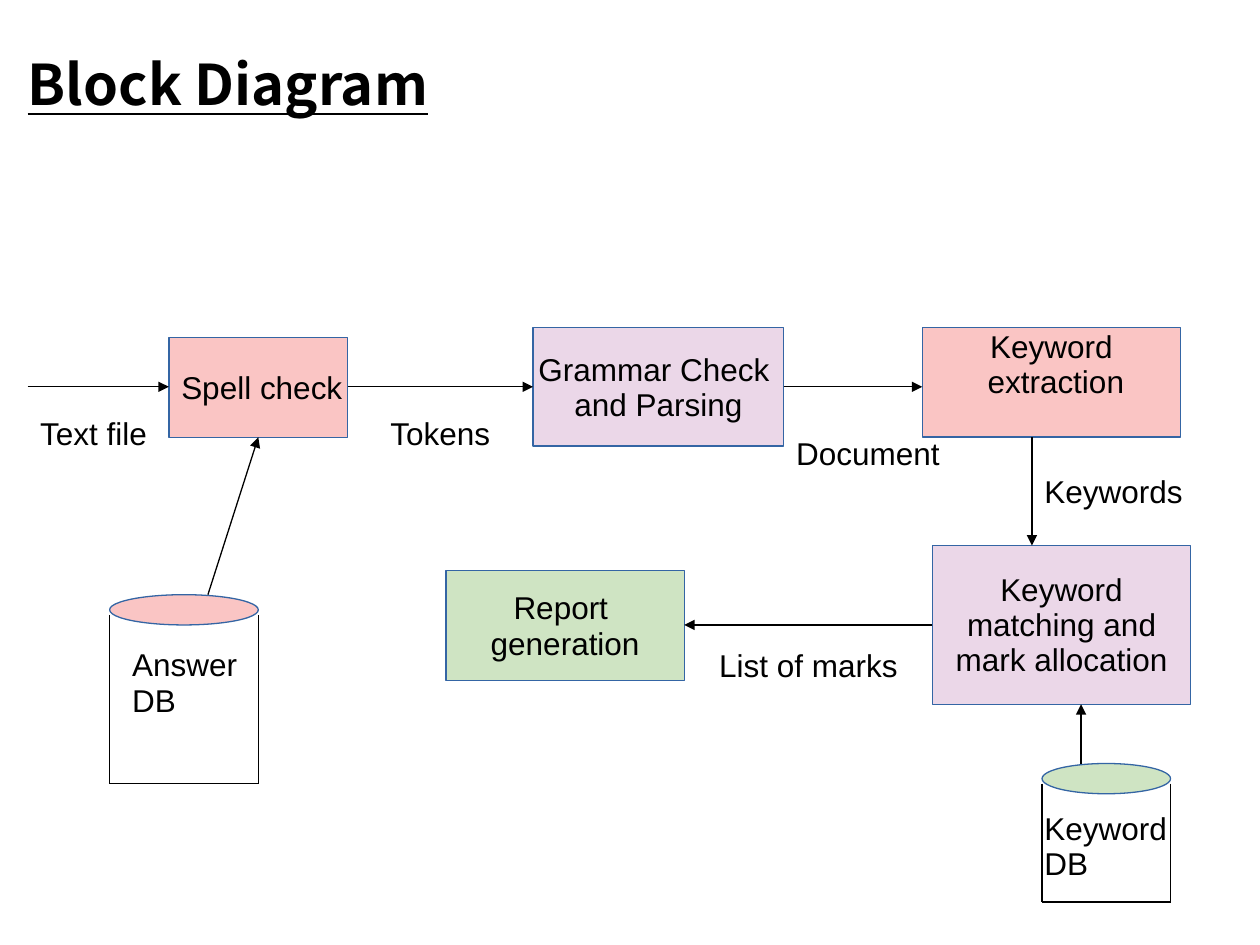
from dataclasses import dataclass

from lxml.etree import SubElement
from pptx import Presentation
from pptx.dml.color import RGBColor
from pptx.enum.shapes import MSO_CONNECTOR as Connector, MSO_SHAPE as Shape
from pptx.enum.text import MSO_ANCHOR as Anchor, PP_ALIGN as Align
from pptx.oxml.ns import qn
from pptx.util import Inches, Pt


@dataclass(frozen=True)
class Theme:
    red: str = "EF413D"
    purple: str = "BD7CB5"
    green: str = "62A73B"
    outline: str = "3465A4"
    ink: str = "000000"
    tint: int = 30
    line_width: float = 0.75
    title_font: str = "Noto Sans CJK KR"
    title_size: int = 32
    body_font: str = "Arial"
    body_size: int = 18


THEME = Theme()

# Grid of 100 columns by 75 rows on a 10 x 7.5 inch slide
COLUMNS, ROWS = 100, 75
WIDTH, HEIGHT = Inches(10), Inches(7.5)

# Content: areas are (column, row, columns wide, rows high)
TITLE = ("Block Diagram", (2.2, 0.2, 97.8, 11.7))

BLOCKS = {
    "spell": ((13.4, 26.8, 14.2, 7.9), THEME.red, "", Anchor.MIDDLE),
    "grammar": ((42.3, 26, 19.9, 9.4), THEME.purple,
                "Grammar Check \nand Parsing", Anchor.MIDDLE),
    "extraction": ((73.2, 26, 20.5, 8.7), THEME.red,
                   "Keyword\n extraction", Anchor.TOP),
    "matching": ((74, 43.3, 20.5, 12.6), THEME.purple,
                 "Keyword\nmatching and\nmark allocation", Anchor.MIDDLE),
    "report": ((35.4, 45.3, 18.9, 8.7), THEME.green,
               "Report \ngeneration", Anchor.MIDDLE),
}

# Databases: left, top, width, bottom, lid colour
DATABASES = {
    "answers": (8.7, 47.2, 11.8, 62.2, THEME.red),
    "keywords": (82.7, 60.6, 10.2, 71.6, THEME.green),
}
LID_HEIGHT, WALL_DROP = 2.4, 1.6

LABELS = [
    ("Text file", (2.2, 32.4, 11, 3.8)),
    ("Spell check", (13.4, 28.8, 16.5, 6.6)),
    ("Tokens", (30, 32.4, 10.5, 3.8)),
    ("Document", (62.2, 34, 14, 3.8)),
    ("Keywords", (81.9, 37, 14, 3.8)),
    ("List of marks", (56.1, 50.8, 17, 3.8)),
    ("Answer\nDB", (9.5, 50.8, 11, 6.6)),
    ("Keyword\nDB", (81.9, 63.8, 12.6, 6.6)),
]


def place(area):
    left, top, width, height = area
    return (round(WIDTH * left / COLUMNS), round(HEIGHT * top / ROWS),
            round(WIDTH * width / COLUMNS), round(HEIGHT * height / ROWS))


def edges(name):
    left, top, width, height = BLOCKS[name][0]
    return left, top, left + width, top + height


def write(shape, text, anchor=Anchor.TOP, align=Align.LEFT,
          font=THEME.body_font, size=THEME.body_size, spacing=0.93,
          insets=(0.1, 0.07, 0.1, 0.05), heading=False):
    frame = shape.text_frame
    frame.text = text
    frame.word_wrap = heading
    frame.vertical_anchor = anchor
    (frame.margin_left, frame.margin_top,
     frame.margin_right, frame.margin_bottom) = map(Inches, insets)
    for para in frame.paragraphs:
        para.alignment = align
        para.line_spacing = spacing
        for span in para.runs:
            span.font.name = font
            span.font.size = Pt(size)
            span.font.bold = span.font.underline = heading
            span.font.color.rgb = RGBColor.from_string(THEME.ink)
            if heading:
                SubElement(span.font._element, qn("a:ea")).set("typeface", font)


def add_tinted(page, kind, area, colour):
    shape = page.shapes.add_shape(kind, *place(area))
    shape.shadow.inherit = False
    shape.fill.solid()
    shape.fill.fore_color.rgb = RGBColor.from_string(colour)
    fill_colour = shape._element.spPr.find(f"{qn('a:solidFill')}/{qn('a:srgbClr')}")
    SubElement(fill_colour, qn("a:alpha")).set("val", str(THEME.tint * 1000))
    shape.line.color.rgb = RGBColor.from_string(THEME.outline)
    shape.line.width = Pt(THEME.line_width)
    return shape


def add_line(page, start, end, arrow=False):
    line = page.shapes.add_connector(Connector.STRAIGHT, *place((*start, *end)))
    line.line.color.rgb = RGBColor.from_string(THEME.ink)
    line.line.width = Pt(THEME.line_width)
    if arrow:
        SubElement(line.line._get_or_add_ln(), qn("a:tailEnd")).set("type", "triangle")
    SubElement(line._element.spPr, qn("a:effectLst"))


def add_database(page, left, top, width, bottom, colour):
    add_tinted(page, Shape.OVAL, (left, top, width, LID_HEIGHT), colour)
    right = left + width
    for wall in (left, right):
        add_line(page, (wall, top + WALL_DROP), (wall, bottom))
    add_line(page, (left, bottom), (right, bottom))


def flow_arrows():
    spell, grammar, extraction, matching, report = map(edges, BLOCKS)
    flow_row, return_row, down_column = 30.7, 49.6, 81.9
    answer_top, keyword_top = DATABASES["answers"][1], DATABASES["keywords"][1]
    return [
        ((TITLE[1][0], flow_row), (spell[0], flow_row)),
        ((spell[2], flow_row), (grammar[0], flow_row)),
        ((grammar[2], flow_row), (extraction[0], flow_row)),
        ((down_column, extraction[3]), (down_column, matching[1])),
        ((matching[0], return_row), (report[2], return_row)),
        ((16.5, answer_top), (20.5, spell[3])),
        ((85.8, keyword_top), (85.8, matching[3])),
    ]


def main():
    deck = Presentation()
    deck.slide_width, deck.slide_height = WIDTH, HEIGHT
    page = deck.slides.add_slide(deck.slide_layouts[6])

    # Title
    text, area = TITLE
    write(page.shapes.add_textbox(*place(area)), text, Anchor.MIDDLE,
          font=THEME.title_font, size=THEME.title_size, spacing=1.21,
          insets=(0, 0, 0, 0), heading=True)

    # Process blocks
    for area, colour, text, anchor in BLOCKS.values():
        block = add_tinted(page, Shape.RECTANGLE, area, colour)
        if text:
            top_inset = 0.02 if anchor == Anchor.TOP else 0.07
            write(block, text, anchor, Align.CENTER,
                  insets=(0.1, top_inset, 0.1, 0.05))

    # Databases
    for database in DATABASES.values():
        add_database(page, *database)

    # Flow arrows
    for start, end in flow_arrows():
        add_line(page, start, end, arrow=True)

    # Labels
    for text, area in LABELS:
        write(page.shapes.add_textbox(*place(area)), text)

    deck.save("out.pptx")


if __name__ == "__main__":
    main()
